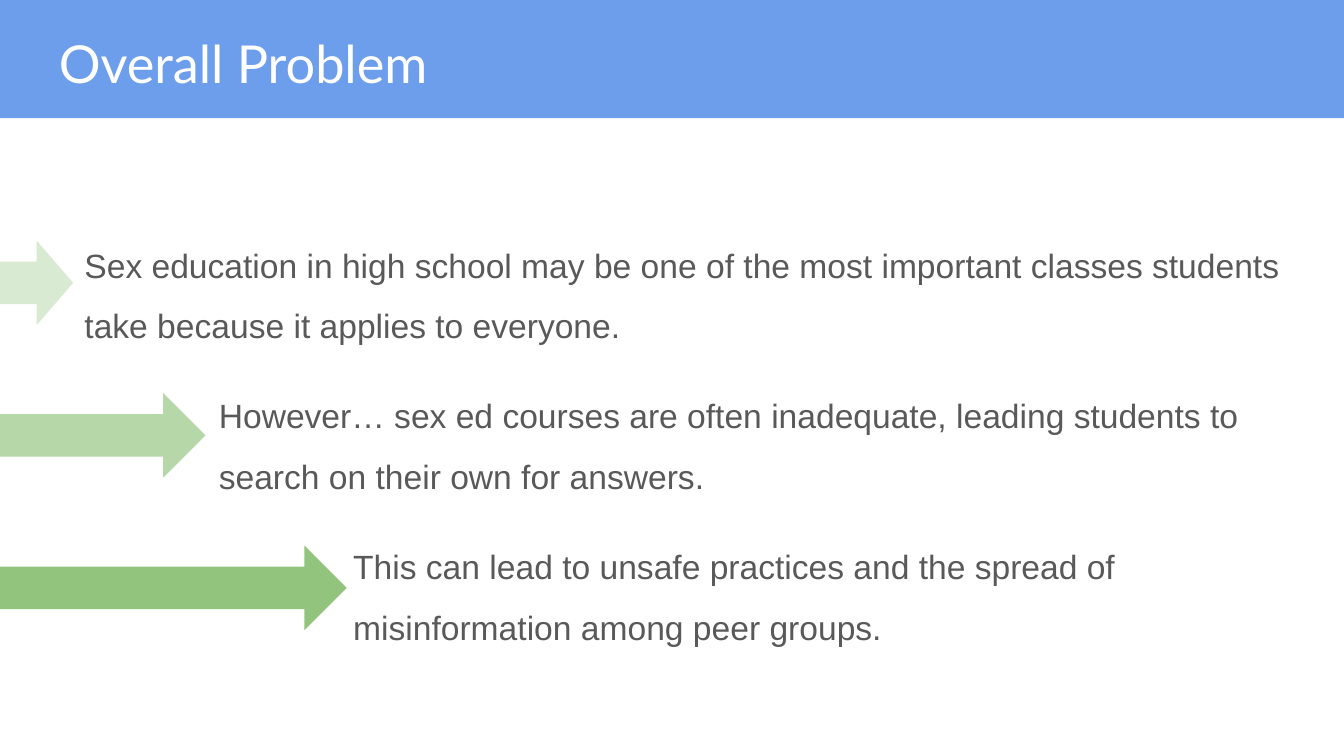
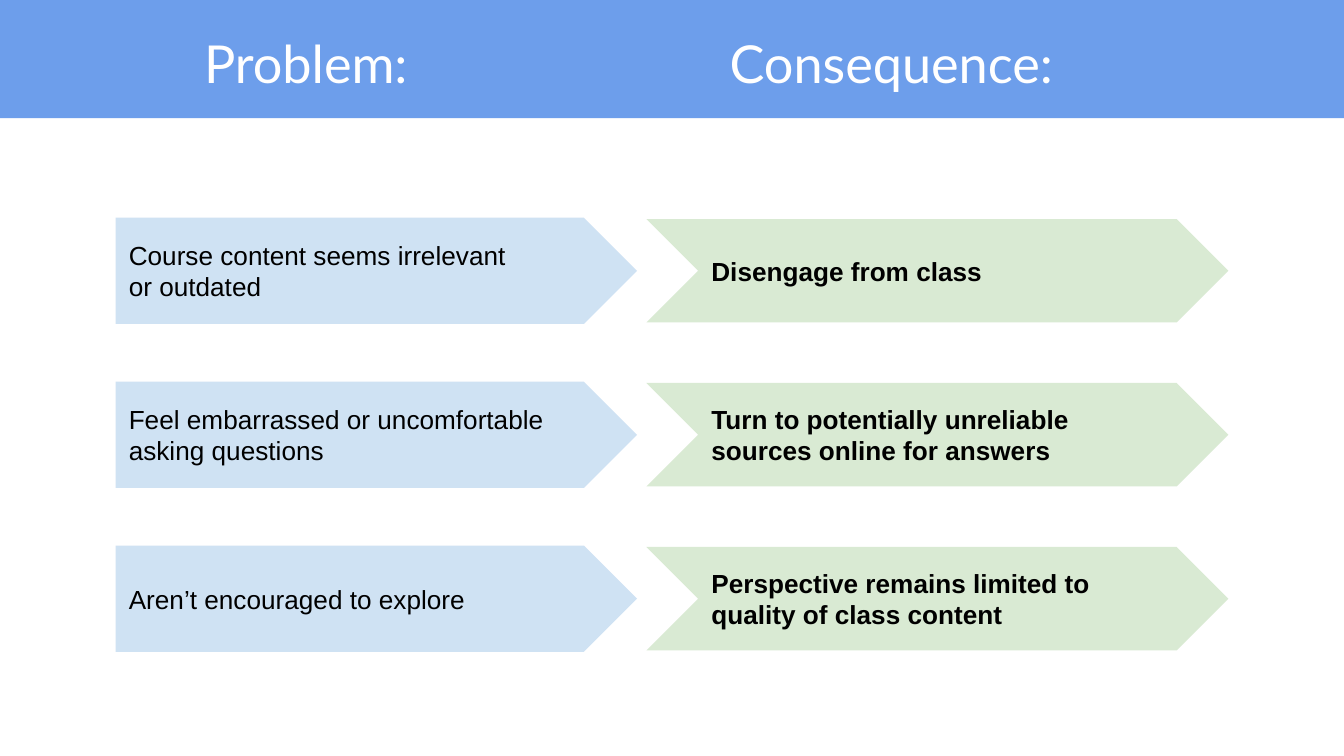
from dataclasses import dataclass

from lxml.etree import SubElement
from pptx import Presentation
from pptx.dml.color import RGBColor
from pptx.enum.shapes import MSO_SHAPE
from pptx.enum.text import MSO_ANCHOR, PP_ALIGN
from pptx.oxml.ns import qn
from pptx.util import Inches, Pt

COLORS = {
    "band": "6D9EEB",
    "title": "FFFFFF",
    "body": "595959",
    "label": "000000",
    "problem": "CFE2F3",
    "consequence": "D9EAD3",
    "step_light": "D9EAD3",
    "step_mid": "B6D7A8",
    "step_dark": "93C47D",
}
TITLE_FONT, BODY_FONT = "Lato", "Arial"
UNIT = Inches(0.1)
COLUMNS, ROWS = 100, 56.25
INSET = 1


@dataclass
class Box:
    left: float
    top: float
    width: float
    height: float

    def inner(self, left, top, width, height):
        return Box(self.left + left, self.top + top, width, height)

    def lengths(self):
        return [round(n * UNIT) for n in (self.left, self.top, self.width, self.height)]


PAGE = Box(0, 0, COLUMNS, ROWS)
BAND = PAGE.inner(0, 0, COLUMNS, 8.8)


def add_block(slide, box, preset, color):
    block = slide.shapes.add_shape(preset, *box.lengths())
    block.shadow.inherit = False
    block.fill.solid()
    block.fill.fore_color.rgb = RGBColor.from_string(COLORS[color])
    block.line.fill.background()
    return block


def prepare_frame(holder, anchor):
    frame = holder.text_frame
    frame.word_wrap = True
    frame.vertical_anchor = anchor
    frame.margin_left = frame.margin_right = INSET * UNIT
    frame.margin_top = frame.margin_bottom = INSET * UNIT
    return frame


def add_run(paragraph, text, font, size, color, bold=False):
    run = paragraph.add_run()
    run.text = text
    run.font.name = font
    run.font.size = Pt(size)
    run.font.bold = bold
    run.font.color.rgb = RGBColor.from_string(COLORS[color])


def paragraphs(frame, count):
    return [frame.paragraphs[0]] + [frame.add_paragraph() for _ in range(count - 1)]


def add_title(slide, box, title, tab_stops=()):
    add_block(slide, box, MSO_SHAPE.RECTANGLE, "band")
    heading = slide.shapes.add_textbox(*box.inner(3.4, 1.3, 93.2, 6.3).lengths())
    paragraph = prepare_frame(heading, MSO_ANCHOR.TOP).paragraphs[0]
    if tab_stops:
        tabs = SubElement(paragraph._p.get_or_add_pPr(), qn("a:tabLst"))
        for stop in tab_stops:
            SubElement(tabs, qn("a:tab"), pos=str(round(stop * UNIT)), algn="l")
    add_run(paragraph, title, TITLE_FONT, 28, "title")


def add_steps(slide, box, steps):
    statements = slide.shapes.add_textbox(*box.inner(5.3, 0, 93.2, box.height).lengths())
    frame = prepare_frame(statements, MSO_ANCHOR.TOP)
    for level, (paragraph, (text, _, _)) in enumerate(zip(paragraphs(frame, len(steps)), steps)):
        properties = paragraph._p.get_or_add_pPr()
        properties.set("marL", str(level * Inches(1)))
        properties.set("indent", "0")
        paragraph.line_spacing = 1.5
        if level:
            paragraph.space_before = Pt(16)
        add_run(paragraph, text, BODY_FONT, 18, "body")
    for row, (_, reach, color) in enumerate(steps):
        arrow_box = box.inner(0, 2.2 + row * 11.35, reach, 6.3)
        add_block(slide, arrow_box, MSO_SHAPE.RIGHT_ARROW, color)


def add_label(slide, box, preset, color, lines, bold=False):
    frame = prepare_frame(add_block(slide, box, preset, color), MSO_ANCHOR.MIDDLE)
    for paragraph, line in zip(paragraphs(frame, len(lines)), lines):
        paragraph.alignment = PP_ALIGN.LEFT
        add_run(paragraph, line, BODY_FONT, 14, "label", bold)


def add_pairs(slide, box, pairs):
    pitch = box.height / len(pairs)
    for row, (problem, consequence) in enumerate(pairs):
        top = row * pitch
        add_label(slide, box.inner(0, top, 38.8, 7.9), MSO_SHAPE.PENTAGON, "problem", problem)
        add_label(slide, box.inner(39.5, top + 0.1, 43.3, 7.7), MSO_SHAPE.CHEVRON,
                  "consequence", consequence, bold=True)


def main():
    deck = Presentation()
    deck.slide_width, deck.slide_height = PAGE.lengths()[2:]
    blank = deck.slide_layouts[6]

    overview = deck.slides.add_slide(blank)
    add_title(overview, BAND, "Overall Problem")
    add_steps(overview, PAGE.inner(0, 15.7, COLUMNS, 33.4), [
        ("Sex education in high school may be one of the most important classes "
         "students take because it applies to everyone.", 5.45, "step_light"),
        ("However… sex ed courses are often inadequate, leading students to "
         "search on their own for answers.", 15.3, "step_mid"),
        ("This can lead to unsafe practices and the spread of misinformation "
         "among peer groups.", 25.8, "step_dark"),
    ])

    effects = deck.slides.add_slide(blank)
    add_title(effects, BAND, "\tProblem:\tConsequence:", (10.8, 49.9))
    add_pairs(effects, PAGE.inner(8.6, 16.2, 82.8, 36.6), [
        (["Course content seems irrelevant", "or outdated"],
         ["Disengage from class"]),
        (["Feel embarrassed or uncomfortable asking questions"],
         ["Turn to potentially unreliable sources online for answers"]),
        (["Aren’t encouraged to explore"],
         ["Perspective remains limited to quality of class content"]),
    ])

    deck.save("out.pptx")


if __name__ == "__main__":
    main()
